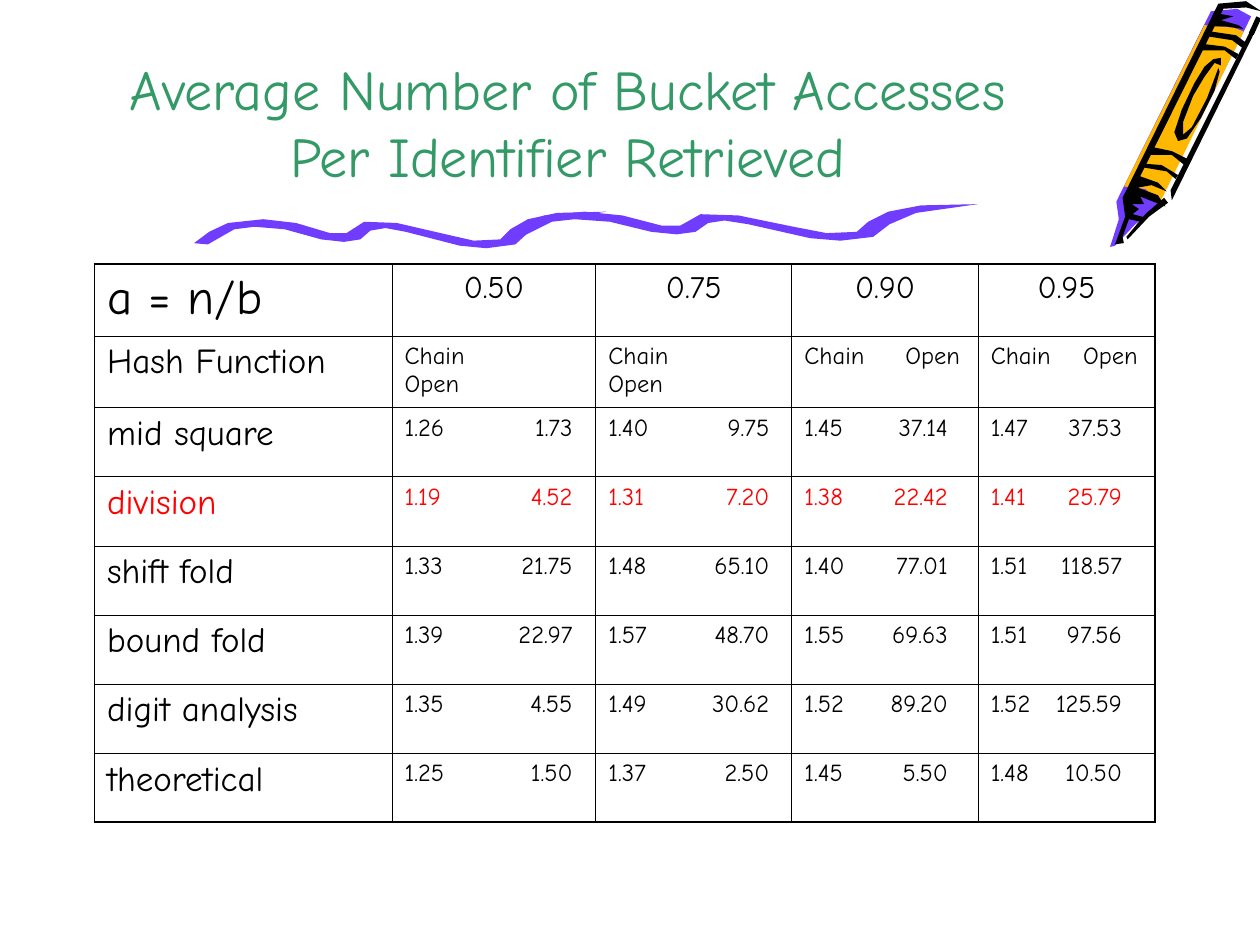
from lxml import etree
from pptx import Presentation
from pptx.dml.color import RGBColor
from pptx.enum.shapes import MSO_CONNECTOR
from pptx.enum.text import MSO_ANCHOR, PP_ALIGN
from pptx.oxml.ns import qn
from pptx.util import Pt

STRAIGHT = MSO_CONNECTOR.STRAIGHT
BOTTOM = MSO_ANCHOR.BOTTOM
CENTER, LEFT = PP_ALIGN.CENTER, PP_ALIGN.LEFT
FONT = "Comic Neue"
PURPLE = RGBColor(0x70, 0x3D, 0xFF)
ORANGE = RGBColor(0xFF, 0xB8, 0x00)
GREEN = RGBColor(0x33, 0x99, 0x66)
RED = RGBColor(0xFF, 0x00, 0x00)
BLACK = RGBColor(0x00, 0x00, 0x00)
HUNDREDTH_INCH = Pt(0.72)

CRAYON_PARTS = [
    (PURPLE, [(993, 13), (917, 166), (901, 178), (885, 195), (881, 196), (888, 174),
              (886, 160), (961, 9), (982, 7)]),
    (ORANGE, [(921, 160), (909, 150), (892, 148), (956, 20), (979, 22), (987, 25)]),
    (BLACK, [(927, 161), (912, 172), (895, 190), (894, 188), (909, 170), (924, 157)]),
    (BLACK, [(987, 23), (973, 21), (961, 21), (968, 11), (979, 13), (969, 16), (983, 20)]),
    (BLACK, [(968, 57), (964, 72), (953, 94), (942, 110), (935, 112), (932, 105), (938, 87),
             (948, 66), (956, 53), (963, 47), (969, 46), (969, 52), (964, 50), (956, 61),
             (947, 76), (939, 97), (939, 107), (946, 101), (958, 78), (967, 54)]),
    (BLACK, [(997, 23), (930, 159), (929, 151), (993, 23)]),
    (BLACK, [(925, 164), (919, 155), (903, 149), (914, 147), (926, 152), (919, 145),
             (905, 140), (971, 7), (989, 6), (1001, 9), (989, 1), (967, 3), (891, 157),
             (893, 172), (885, 194), (892, 193), (891, 188), (896, 174), (905, 176),
             (910, 173), (899, 170), (904, 166), (898, 162), (908, 162), (905, 156)]),
    (BLACK, [(933, 142), (926, 136), (908, 133), (909, 130), (922, 131), (935, 139)]),
    (BLACK, [(940, 131), (930, 123), (913, 123), (916, 117), (930, 120), (942, 126)]),
    (BLACK, [(981, 47), (972, 40), (953, 40), (956, 35), (972, 37), (983, 43)]),
    (BLACK, [(986, 38), (978, 32), (959, 29), (961, 25), (981, 28), (989, 34)]),
]
WAVE = [(165, 194), (186, 182), (202, 180), (226, 182), (255, 190), (273, 192), (286, 190),
        (294, 183), (306, 181), (322, 184), (365, 195), (386, 197), (409, 194), (420, 184),
        (438, 175), (481, 168), (442, 169), (419, 174), (405, 182), (397, 190), (376, 191),
        (354, 186), (315, 177), (289, 176), (275, 185), (262, 185), (235, 177), (209, 174),
        (181, 177), (166, 184), (154, 193)]
LONG_WAVE = [(round(401 + (x - 154) * 1.147), y - 6) for x, y in WAVE]

LOADS = ["0.50", "0.75", "0.90", "0.95"]
HEADINGS = ["Chain\vOpen", "Chain\vOpen", "Chain\tOpen", "Chain\tOpen"]
RESULTS = [
    ("mid square", "1.26 1.73", "1.40 9.75", "1.45 37.14", "1.47 37.53"),
    ("division", "1.19 4.52", "1.31 7.20", "1.38 22.42", "1.41 25.79"),
    ("shift fold", "1.33 21.75", "1.48 65.10", "1.40 77.01", "1.51 118.57"),
    ("bound fold", "1.39 22.97", "1.57 48.70", "1.55 69.63", "1.51 97.56"),
    ("digit analysis", "1.35 4.55", "1.49 30.62", "1.52 89.20", "1.52 125.59"),
    ("theoretical", "1.25 1.50", "1.37 2.50", "1.45 5.50", "1.48 10.50"),
]
ROWS = [["a = n/b", *LOADS], ["Hash Function", *HEADINGS]]
ROWS += [[name, *(pair.replace(" ", "\t") for pair in pairs)] for name, *pairs in RESULTS]
COLUMN_WIDTHS = [170, 116.5, 112, 106.5, 101]
ROW_HEIGHTS = [41, 41] + [39.5] * 6
VALUE_TABS = [None, 96, 92, 82, 75]
HEADING_TABS = [None, None, None, 89, 84]


def style_font(paragraph, size, color):
    paragraph.font.name = FONT
    paragraph.font.size = Pt(size)
    paragraph.font.color.rgb = color


def add_outline(slide, points, color):
    builder = slide.shapes.build_freeform(*points[0], scale=HUNDREDTH_INCH)
    builder.add_line_segments(points[1:], close=True)
    shape = builder.convert_to_shape()
    shape.shadow.inherit = False
    shape.fill.solid()
    shape.fill.fore_color.rgb = color
    shape.line.fill.background()


presentation = Presentation()
presentation.slide_width = Pt(720)
presentation.slide_height = Pt(540)
slide = presentation.slides.add_slide(presentation.slide_layouts[6])

for color, points in CRAYON_PARTS:
    add_outline(slide, points, color)

edge = slide.shapes.add_connector(STRAIGHT, Pt(719.3), Pt(10), Pt(715), Pt(19.4))
edge.line.color.rgb = BLACK
edge.line.width = Pt(3)
etree.SubElement(edge._element.spPr, qn("a:effectLst"))

for points in (WAVE, LONG_WAVE):
    add_outline(slide, points, PURPLE)

title = slide.shapes.add_textbox(Pt(54), Pt(0), Pt(541), Pt(111.6))
title.text_frame.word_wrap = True
title.text_frame.vertical_anchor = BOTTOM
paragraph = title.text_frame.paragraphs[0]
paragraph.text = "Average Number of Bucket Accesses Per Identifier Retrieved"
paragraph.alignment = CENTER
style_font(paragraph, 32, GREEN)

frame = slide.shapes.add_table(len(ROWS), len(COLUMN_WIDTHS), Pt(54), Pt(151),
                               Pt(sum(COLUMN_WIDTHS)), Pt(sum(ROW_HEIGHTS)))
table = frame.table
table.first_row = False
table.horz_banding = False
for column, width in zip(table.columns, COLUMN_WIDTHS):
    column.width = Pt(width)
for row, height in zip(table.rows, ROW_HEIGHTS):
    row.height = Pt(height)

last_row, last_column = len(ROWS) - 1, len(COLUMN_WIDTHS) - 1
for row_index, texts in enumerate(ROWS):
    for column_index, text in enumerate(texts):
        cell = table.cell(row_index, column_index)
        cell.fill.background()
        paragraph = cell.text_frame.paragraphs[0]
        paragraph.text = text
        paragraph.alignment = CENTER if row_index == 0 and column_index else LEFT
        tab = (HEADING_TABS if row_index == 1 else VALUE_TABS)[column_index]
        if row_index and tab:
            tab_list = etree.SubElement(paragraph._p.get_or_add_pPr(), qn("a:tabLst"))
            etree.SubElement(tab_list, qn("a:tab"), pos=str(Pt(tab)), algn="r")
        if column_index == 0:
            size = 20 if row_index else 28
        else:
            size = 14 if row_index else 18
        style_font(paragraph, size, RED if texts[0] == "division" else BLACK)
        outer_sides = [("L", column_index == 0), ("R", column_index == last_column),
                       ("T", row_index == 0), ("B", row_index == last_row)]
        properties = cell._tc.get_or_add_tcPr()
        for position, (side, outer) in enumerate(outer_sides):
            border = etree.Element(qn(f"a:ln{side}"), w=str(Pt(1.08 if outer else 0.45)))
            fill = etree.SubElement(border, qn("a:solidFill"))
            etree.SubElement(fill, qn("a:srgbClr"), val=str(BLACK))
            properties.insert(position, border)

presentation.save("out.pptx")
